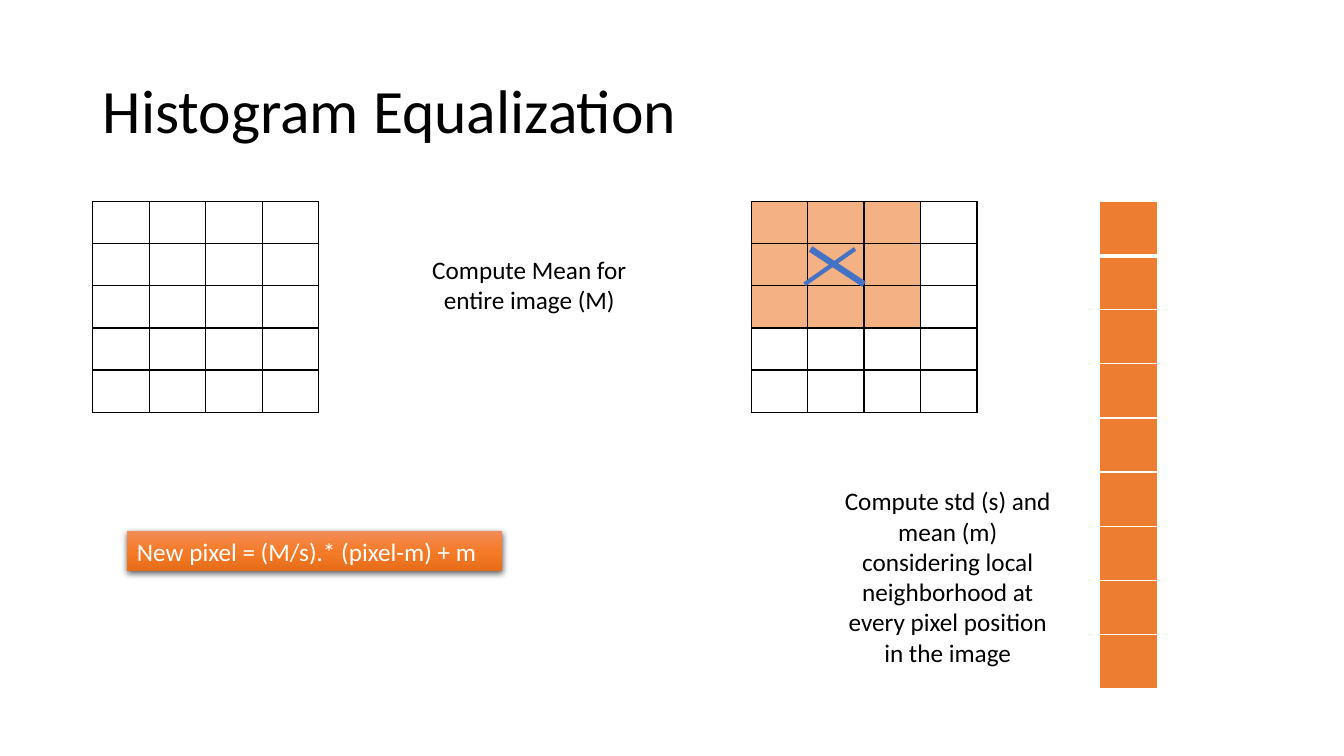
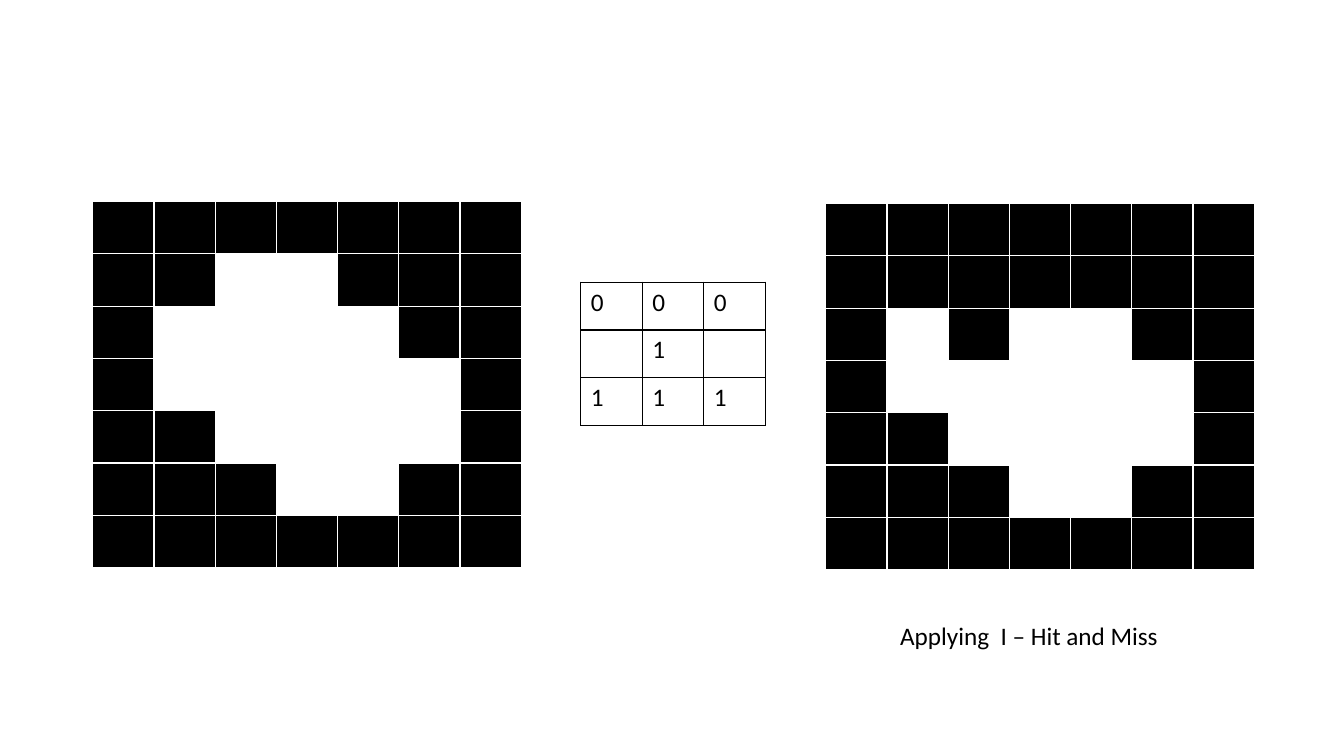
import copy

import pptx
import pptx.dml.color
import pptx.enum.shapes
import pptx.enum.text
import pptx.oxml
import pptx.oxml.ns
import pptx.util

Inches, Pt = pptx.util.Inches, pptx.util.Pt
RGB = pptx.dml.color.RGBColor.from_string
ALIGN = pptx.enum.text.PP_ALIGN
qn, nsdecls = pptx.oxml.ns.qn, pptx.oxml.ns.nsdecls

FONT = "Calibri"
COLORS = {
    "black": "000000",
    "white": "FFFFFF",
    "peach": "F4B183",
    "orange": "ED7D31",
    "blue": "4472C4",
    "banner_top": "F18C57",
    "banner_mid": "F67B28",
    "banner_end": "E56C19",
}
CELL_FILLS = {"#": "black", ".": "white", "p": "peach", "o": "orange"}


def write(tf, text, size=18, color="black", align=ALIGN.LEFT, spacing=None,
          anchor=pptx.enum.text.MSO_ANCHOR.TOP,
          autofit=pptx.enum.text.MSO_AUTO_SIZE.SHAPE_TO_FIT_TEXT):
    tf.word_wrap = True
    tf.auto_size = autofit
    tf.vertical_anchor = anchor
    p = tf.paragraphs[0]
    p.alignment = align
    if spacing:
        p.line_spacing = spacing
    r = p.add_run()
    r.text = text
    r.font.size = Pt(size)
    r.font.name = FONT
    r.font.color.rgb = RGB(COLORS[color])


def add_grid(s, box, rows, border="black", first_rule=1):
    """Draw a table from strings: fill codes are keys of CELL_FILLS, digits
    are cell text, spaces are empty; first_rule is the width under row one."""
    n_rows, n_cols = len(rows), len(rows[0])
    table = s.shapes.add_table(n_rows, n_cols, *map(Inches, box)).table
    table.first_row = table.horz_banding = False
    for col in table.columns:
        col.width = Inches(box[2] / n_cols)
    for i, row in enumerate(rows):
        table.rows[i].height = Inches(box[3] / n_rows)
        for j, code in enumerate(row):
            cell = table.cell(i, j)
            tcPr = cell._tc.get_or_add_tcPr()
            for side in "LRTB":
                thick = (i, side) in ((0, "B"), (1, "T"))
                width = Pt(first_rule if thick else 1)
                tcPr.append(pptx.oxml.parse_xml(
                    f'<a:ln{side} {nsdecls("a")} w="{width}"><a:solidFill>'
                    f'<a:srgbClr val="{COLORS[border]}"/></a:solidFill></a:ln{side}>'))
            if code in CELL_FILLS:
                cell.fill.solid()
                cell.fill.fore_color.rgb = RGB(COLORS[CELL_FILLS[code]])
            else:
                cell.fill.background()
            if code.isdigit():
                write(cell.text_frame, code, autofit=None)


prs = pptx.Presentation()
prs.slide_width, prs.slide_height = Inches(13.33), Inches(7.5)

# Slide 1: histogram equalization
s = prs.slides.add_slide(prs.slide_layouts[5])
title = s.shapes.title
title.left, title.top, title.width, title.height = map(Inches, (0.92, 0.4, 11.5, 1.45))
write(title.text_frame, "Histogram Equalization", size=44, spacing=0.9,
      anchor=pptx.enum.text.MSO_ANCHOR.MIDDLE, autofit=None)

add_grid(s, (0.92, 2, 2.24, 2.09), ["    "] * 5)
add_grid(s, (7.45, 2, 2.24, 2.09), ["ppp "] * 3 + ["    "] * 2)
add_grid(s, (10.9, 2, 0.58, 4.83), ["o"] * 9, border="white", first_rule=3)

for x1, y1, x2, y2, width in ((8.04, 2.47, 8.57, 2.82, 4.5),
                              (7.98, 2.82, 8.48, 2.47, 3)):
    stroke = s.shapes.add_connector(pptx.enum.shapes.MSO_CONNECTOR.STRAIGHT,
                                    *map(Inches, (x1, y1, x2, y2)))
    stroke.line.color.rgb = RGB(COLORS["blue"])
    stroke.line.width = Pt(width)
    stroke._element.spPr.append(pptx.oxml.parse_xml(f'<a:effectLst {nsdecls("a")}/>'))

for box, text in (
    ((4.08, 2.47, 2.34, 0.71), "Compute Mean for entire image (M)"),
    ((8.23, 4.77, 2.34, 1.92), "Compute std (s) and mean (m) considering local "
                               "neighborhood at every pixel position in the image"),
):
    tb = s.shapes.add_textbox(*map(Inches, box))
    write(tb.text_frame, text, align=ALIGN.CENTER)

banner = s.shapes.add_shape(pptx.enum.shapes.MSO_SHAPE.RECTANGLE,
                            *map(Inches, (1.26, 5.27, 3.72, 0.4)))
banner.line.fill.background()
banner.fill.gradient()
banner.fill.gradient_angle = 270
spPr = banner._element.spPr
stops = spPr.find(".//" + qn("a:gsLst"))
stops.insert(1, copy.deepcopy(stops[0]))
for stop, position, name in zip(banner.fill.gradient_stops, (0, 0.5, 1),
                                ("banner_top", "banner_mid", "banner_end")):
    stop.position = position
    stop.color.rgb = RGB(COLORS[name])
banner.shadow.inherit = False
spPr.find(qn("a:effectLst")).append(pptx.oxml.parse_xml(
    f'<a:outerShdw {nsdecls("a")} blurRad="{Pt(4.5)}" dist="{Pt(1.5)}" dir="5400000" '
    f'algn="ctr" rotWithShape="0"><a:srgbClr val="{COLORS["black"]}">'
    '<a:alpha val="63000"/></a:srgbClr></a:outerShdw>'))
write(banner.text_frame, "New pixel = (M/s).* (pixel-m) + m", color="white")

# Slide 2: hit and miss
s = prs.slides.add_slide(prs.slide_layouts[6])
add_grid(s, (0.92, 2, 4.25, 3.63), [
    "#######",
    "##..###",
    "#....##",
    "#.....#",
    "##....#",
    "###..##",
    "#######",
], border="white")
add_grid(s, (5.76, 2.8, 1.83, 1.42), ["000", " 1 ", "111"])
add_grid(s, (8.19, 2.02, 4.25, 3.63), [
    "#######",
    "#######",
    "#.#..##",
    "#.....#",
    "##....#",
    "###..##",
    "#######",
], border="white")
tb = s.shapes.add_textbox(*map(Inches, (8.83, 6.1, 3.87, 0.4)))
write(tb.text_frame, "Applying  I – Hit and Miss")

prs.save("out.pptx")
